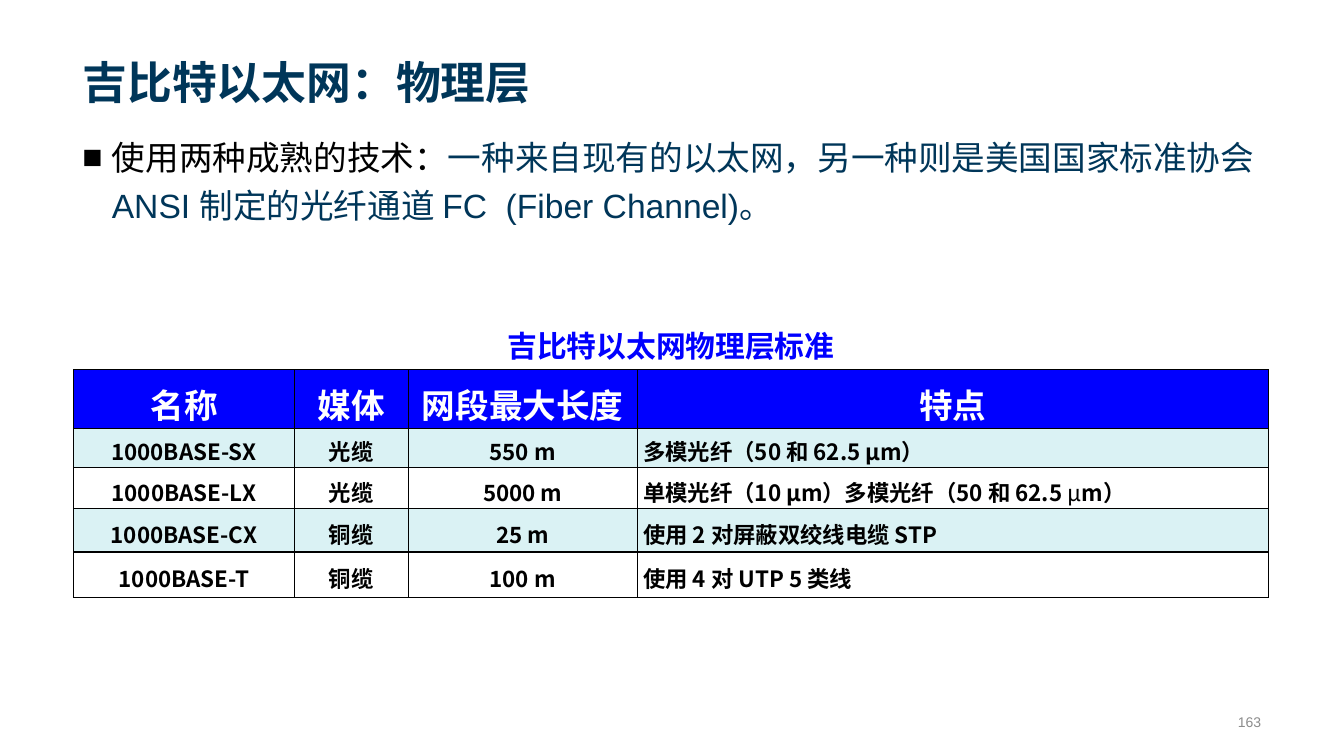
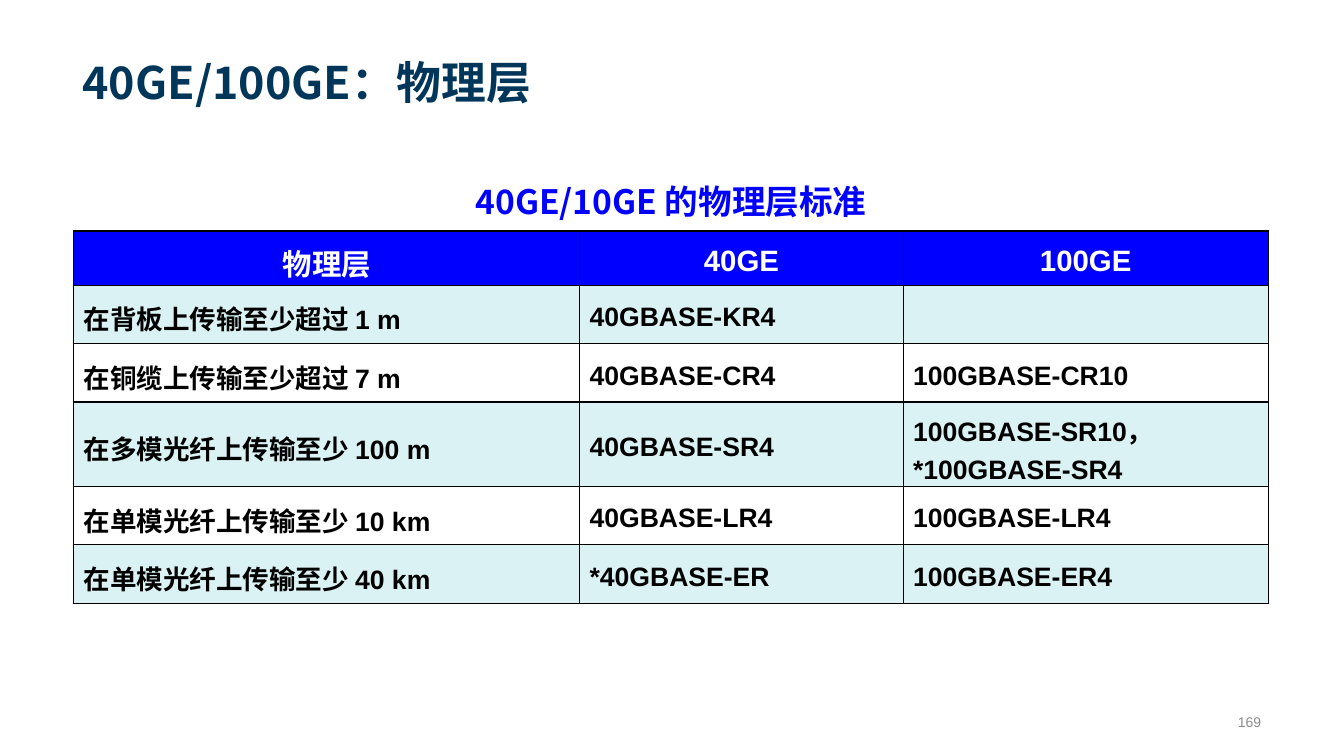
from lxml import etree
from pptx import Presentation
from pptx import util as u
from pptx.dml.color import RGBColor
from pptx.enum import text as t
from pptx.oxml import ns

CJK, LATIN = "Noto Sans CJK SC", "Arial"
NAVY, BLUE, BLACK, WHITE = "003659", "0000FF", "000000", "FFFFFF"
PALE, GREY = "DAF2F4", "8C8C8C"
LEFT, WIDTH = 1.83, 30.18
TABLE_LEFT, TABLE_WIDTH = 1.86, 30.1
CENTER, RIGHT = t.PP_ALIGN.CENTER, t.PP_ALIGN.RIGHT
MIDDLE = t.MSO_ANCHOR.MIDDLE


def rgb(value):
    return RGBColor.from_string(value)


def sub(parent, tag, **attrs):
    return etree.SubElement(parent, ns.qn(tag), **attrs)


class Deck:
    """Shared style and the current slide."""

    def __init__(self):
        self.prs = Presentation()
        self.prs.slide_width, self.prs.slide_height = u.Cm(33.87), u.Cm(19.05)
        self.s = None

    def slide(self, title, number):
        self.s = self.prs.slides.add_slide(self.prs.slide_layouts[6])
        self.text(LEFT, 0.36, WIDTH, 2.49, [title], 32, NAVY, font=CJK, bold=True,
                  anchor=t.MSO_ANCHOR.BOTTOM)
        self.text(29.8, 17.8, 2.23, 0.76, [number], 10, GREY, align=RIGHT, anchor=MIDDLE)

    def paragraph(self, p, runs, size, color, font=LATIN, bold=False, align=None, spacing=None):
        p.alignment, p.line_spacing = align, spacing
        for run in runs:
            content, changes = (run, {}) if isinstance(run, str) else run
            r = p.add_run()
            r.text = content
            r.font.size, r.font.name = u.Pt(size), font
            r.font.bold = changes.get("bold", bold)
            r.font.color.rgb = rgb(changes.get("color", color))
            sub(r.font._element, "a:ea", typeface=CJK)

    def text(self, x, y, w, h, runs, size, color, anchor=t.MSO_ANCHOR.TOP, wrap=True, **style):
        tf = self.s.shapes.add_textbox(u.Cm(x), u.Cm(y), u.Cm(w), u.Cm(h)).text_frame
        tf.word_wrap, tf.vertical_anchor = wrap, anchor
        self.paragraph(tf.paragraphs[0], runs, size, color, **style)
        return tf.paragraphs[0]

    def bullet(self, y, h, runs, size):
        p = self.text(LEFT, y, WIDTH, h, runs, size, BLACK, spacing=1.2)
        pPr = p._p.get_or_add_pPr()
        indent = u.Cm(0.74)
        pPr.set("marL", str(indent))
        pPr.set("indent", str(-indent))
        sub(pPr, "a:buFont", typeface=LATIN)
        sub(pPr, "a:buChar", char="■")

    def caption(self, y, h, content, size, font):
        self.text(TABLE_LEFT, y, TABLE_WIDTH, h, [content], size, BLUE, font=font, bold=True,
                  align=CENTER, spacing=1.2, wrap=False)

    def borders(self, cell):
        tcPr = cell._tc.get_or_add_tcPr()
        for side in ("a:lnL", "a:lnR", "a:lnT", "a:lnB"):
            ln = sub(tcPr, side, w=str(u.Pt(1)))
            sub(sub(ln, "a:solidFill"), "a:srgbClr", val=BLACK)

    def table(self, y, widths, heights, rows, head_size, size, font, inset, centered):
        table = self.s.shapes.add_table(
            len(rows), len(widths), u.Cm(TABLE_LEFT), u.Cm(y),
            u.Cm(sum(widths)), u.Cm(sum(heights))).table
        table.first_row = table.horz_banding = False
        for column, width in zip(table.columns, widths):
            column.width = u.Cm(width)
        for i, (row, height) in enumerate(zip(rows, heights)):
            table.rows[i].height = u.Cm(height)
            head = i == 0
            fill = BLUE if head else PALE if i % 2 else WHITE
            for j, content in enumerate(row):
                cell = table.cell(i, j)
                self.borders(cell)
                cell.fill.solid()
                cell.fill.fore_color.rgb = rgb(fill)
                cell.vertical_anchor = MIDDLE
                cell.margin_left = cell.margin_right = u.Cm(inset)
                cell.margin_top = cell.margin_bottom = 0
                lines = [[line] for line in content.split("\n")] if isinstance(content, str) else [content]
                tf = cell.text_frame
                for k, runs in enumerate(lines):
                    p = tf.add_paragraph() if k else tf.paragraphs[0]
                    if content:
                        self.paragraph(p, runs, head_size if head else size,
                                       WHITE if head else BLACK, font=font, bold=True, spacing=1.2,
                                       align=CENTER if head or j in centered else None)


def main():
    d = Deck()

    d.slide("吉比特以太网：物理层", "163")
    d.bullet(3.12, 13.92, [
        "使用两种成熟的技术：",
        ("一种来自现有的以太网，另一种则是美国国家标准协会 ANSI 制定的光纤通道 FC  (Fiber Channel)。",
         {"color": NAVY})], 24)
    d.table(9.32, [5.56, 2.87, 5.77, 15.9], [1.47, 0.99, 1.04, 1.09, 1.14], [
        ["名称", "媒体", "网段最大长度", "特点"],
        ["1000BASE-SX", "光缆", "550 m", "多模光纤（50 和 62.5 μm）"],
        ["1000BASE-LX", "光缆", "5000 m",
         ["单模光纤（10 μm）多模光纤（50 和 62.5 ", ("μ", {"bold": False}), "m）"]],
        ["1000BASE-CX", "铜缆", "25 m", "使用 2 对屏蔽双绞线电缆 STP"],
        ["1000BASE-T", "铜缆", "100 m", "使用 4 对 UTP 5 类线"],
    ], 24, 16, CJK, 0.15, centered=(0, 1, 2))
    d.caption(7.95, 1.24, "吉比特以太网物理层标准", 21.3, LATIN)

    d.slide("40GE/100GE：物理层", "169")
    d.caption(4.24, 1.37, "40GE/10GE 的物理层标准", 24, CJK)
    d.table(5.82, [12.75, 8.15, 9.2], [1.37, 1.47, 1.47, 2.13, 1.47, 1.47], [
        ["物理层", "40GE", "100GE"],
        ["在背板上传输至少超过 1 m", "40GBASE-KR4", ""],
        ["在铜缆上传输至少超过 7 m", "40GBASE-CR4", "100GBASE-CR10"],
        ["在多模光纤上传输至少 100 m", "40GBASE-SR4", "100GBASE-SR10，\n*100GBASE-SR4"],
        ["在单模光纤上传输至少 10 km", "40GBASE-LR4", "100GBASE-LR4"],
        ["在单模光纤上传输至少 40 km", "*40GBASE-ER", "100GBASE-ER4"],
    ], 21, 19, LATIN, 0.25, centered=())

    d.prs.save("out.pptx")


if __name__ == "__main__":
    main()
